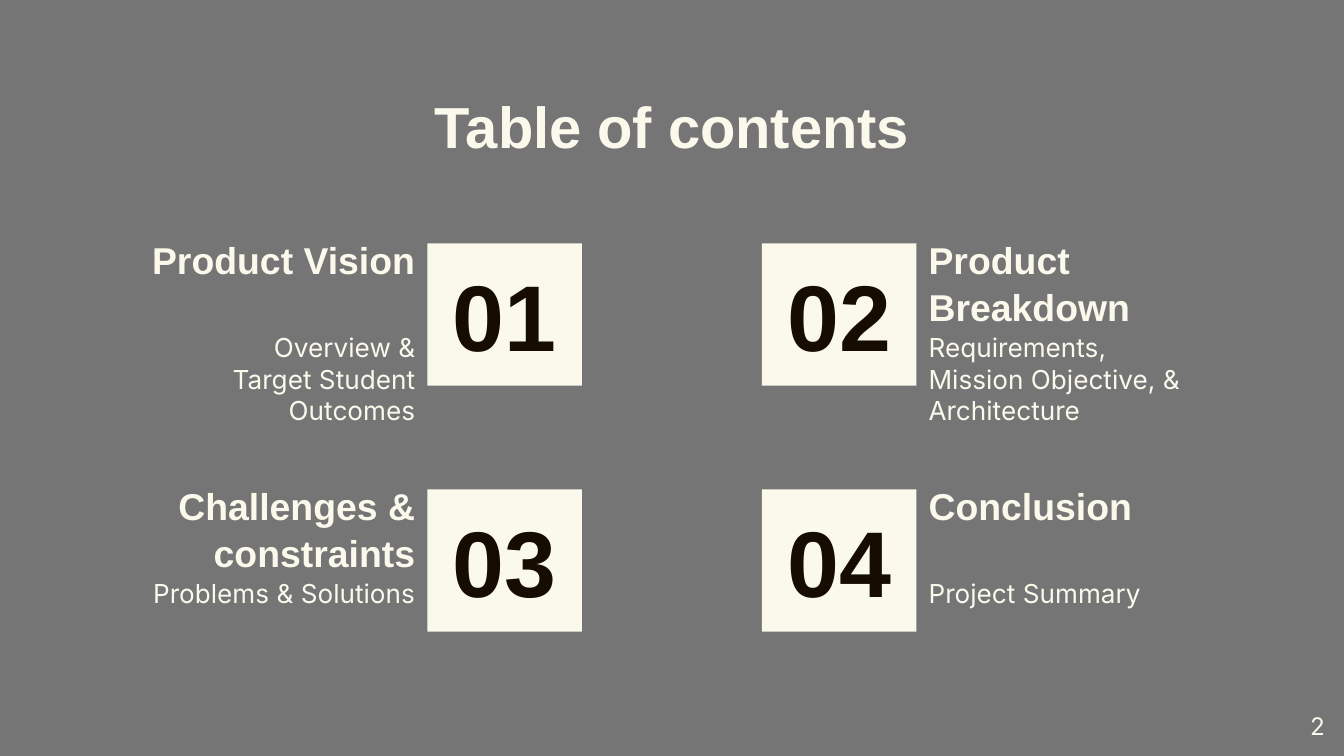
from lxml import etree
from pptx import Presentation
from pptx.dml.color import RGBColor
from pptx.enum import shapes, text
from pptx.oxml.ns import qn
from pptx.util import Cm, Pt

CREAM = RGBColor(0xFA, 0xF9, 0xEC)
BROWN = RGBColor(0x16, 0x0D, 0x00)
VEIL = RGBColor(0x16, 0x16, 0x16)
VEIL_ALPHA = 59  # percent

TITLE = "Table of contents"
PAGE = "2"
SECTIONS = [
    ("01", "Product Vision", "Overview &\nTarget Student Outcomes"),
    ("02", "Product Breakdown", "Requirements,\nMission Objective, &\nArchitecture"),
    ("03", "Challenges & constraints", "Problems & Solutions"),
    ("04", "Conclusion", "Project Summary"),
]

# Lengths in centimetres
SLIDE_W, SLIDE_H = 25.4, 14.29
TILE_W, TILE_H = 2.92, 2.69
TEXT_W, HEADING_H = 6.1, 2.21
DETAIL_HEIGHTS = (2.21, 1.68)  # by row
# Each column: tile left, text left, alignment
COLUMNS = [
    (8.08, 2.0, text.PP_ALIGN.RIGHT),
    (14.4, 17.3, text.PP_ALIGN.LEFT),
]
TOP, ROW_STEP = 4.6, 4.65
HEADING_DY, DETAIL_DY = -0.41, 1.42

MIDDLE, UPPER = text.MSO_ANCHOR.MIDDLE, text.MSO_ANCHOR.TOP


def add_rect(s, x, y, w, h, color):
    sp = s.shapes.add_shape(shapes.MSO_SHAPE.RECTANGLE, Cm(x), Cm(y), Cm(w), Cm(h))
    sp.shadow.inherit = False
    sp.fill.solid()
    sp.fill.fore_color.rgb = color
    sp.line.fill.background()
    return sp


def write(sp, content, size, align, font="Arial", color=CREAM, anchor=UPPER, spacing=None):
    tf = sp.text_frame
    tf.word_wrap = True
    tf.vertical_anchor = anchor
    tf.margin_left = tf.margin_right = tf.margin_top = tf.margin_bottom = Cm(0.25)
    tf.text = content
    for p in tf.paragraphs:
        p.alignment = align
        p.line_spacing = spacing
        for r in p.runs:
            r.font.name = font
            r.font.size = Pt(size)
            r.font.bold = font == "Arial"
            r.font.color.rgb = color


def add_text(s, x, y, w, h, *args, **style):
    sp = s.shapes.add_textbox(Cm(x), Cm(y), Cm(w), Cm(h))
    write(sp, *args, **style)


prs = Presentation()
prs.slide_width, prs.slide_height = Cm(SLIDE_W), Cm(SLIDE_H)
s = prs.slides.add_slide(prs.slide_layouts[6])

veil = add_rect(s, 0, 0, SLIDE_W, SLIDE_H, VEIL)
veil_color = veil._element.spPr.find(qn("a:solidFill"))[0]
etree.SubElement(veil_color, qn("a:alpha")).set("val", str(VEIL_ALPHA * 1000))

add_text(s, 2, 1.5, 21.4, 1.75, TITLE, 31, text.PP_ALIGN.CENTER, anchor=MIDDLE)

for i, (number, heading, detail) in enumerate(SECTIONS):
    row, col = divmod(i, 2)
    tile_x, text_x, align = COLUMNS[col]
    y = TOP + row * ROW_STEP
    tile = add_rect(s, tile_x, y, TILE_W, TILE_H, CREAM)
    write(tile, number, 50, text.PP_ALIGN.CENTER, color=BROWN, anchor=MIDDLE)
    add_text(s, text_x, y + HEADING_DY, TEXT_W, HEADING_H, heading, 20, align, spacing=1.05)
    add_text(s, text_x, y + DETAIL_DY, TEXT_W, DETAIL_HEIGHTS[row], detail, 14, align, font="Inter")

add_text(s, 23.77, 13.18, 1.52, 1.09, PAGE, 13, text.PP_ALIGN.RIGHT, font="Inter", anchor=MIDDLE)

prs.save("out.pptx")
